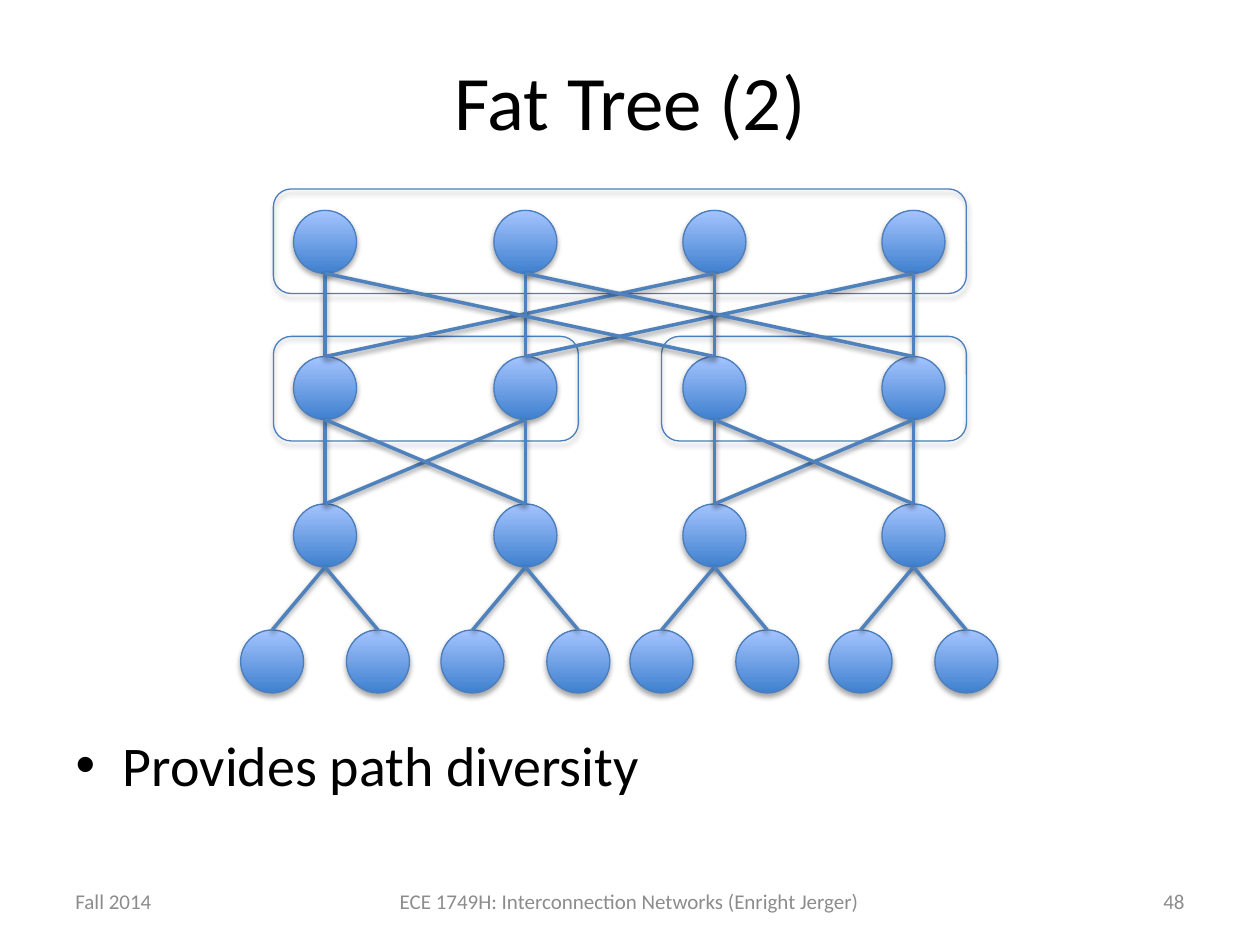
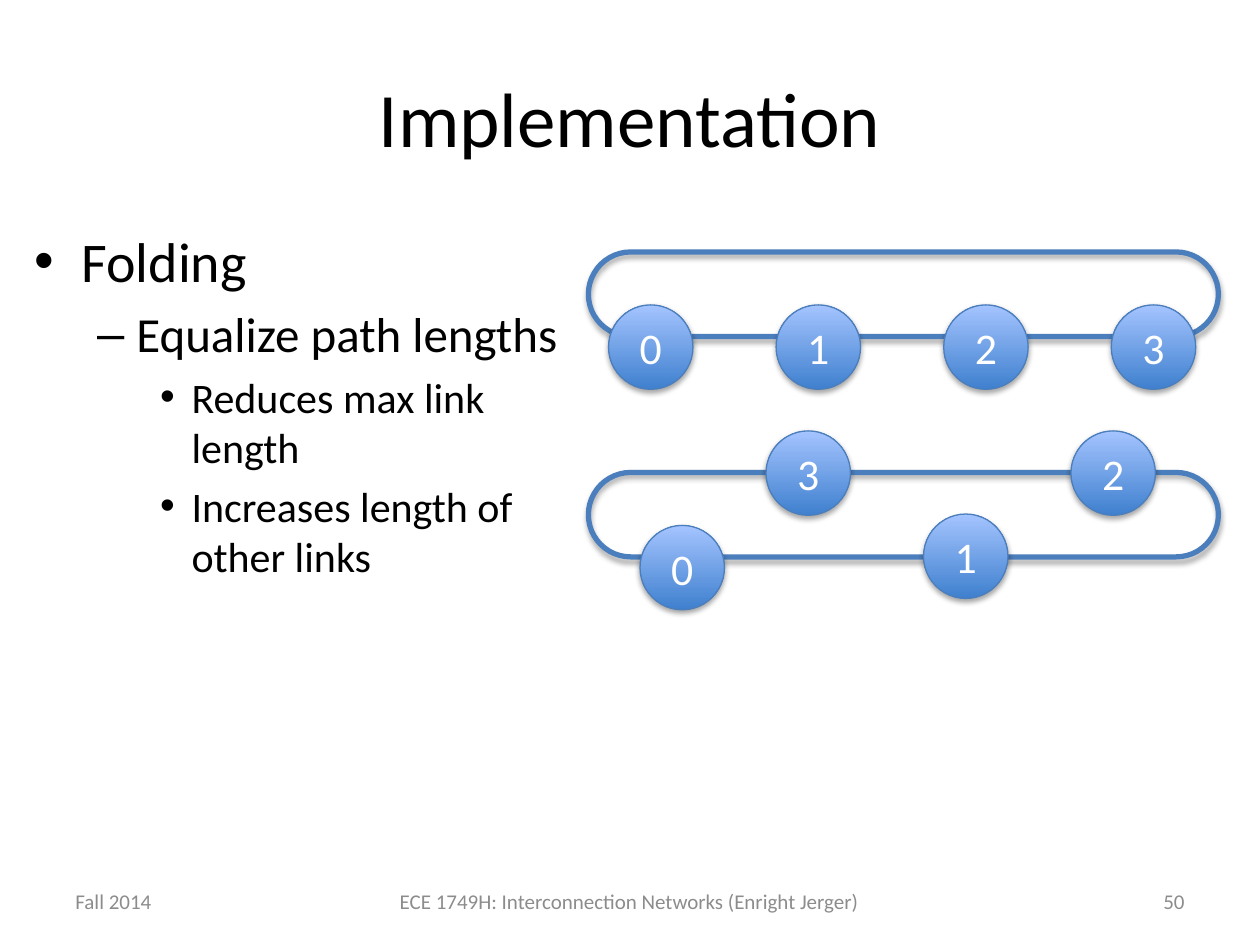
from dataclasses import dataclass
from lxml import etree
from pptx import Presentation
from pptx.dml.color import RGBColor
from pptx.enum.shapes import MSO_CONNECTOR, MSO_SHAPE
from pptx.enum.text import MSO_ANCHOR, PP_ALIGN
from pptx.oxml.ns import qn
from pptx.util import Inches, Pt

OVAL = MSO_SHAPE.OVAL
ROUND = MSO_SHAPE.ROUNDED_RECTANGLE
STRAIGHT = MSO_CONNECTOR.STRAIGHT
MIDDLE = MSO_ANCHOR.MIDDLE
LEFT, CENTER, RIGHT = PP_ALIGN.LEFT, PP_ALIGN.CENTER, PP_ALIGN.RIGHT


@dataclass(frozen=True)
class Theme:
    font: str = "Calibri"
    ink: str = "000000"
    white: str = "FFFFFF"
    gray: str = "8C8C8C"
    edge: str = "4B7EBC"
    link: str = "4F81BD"
    dark: str = "3F80CE"
    light: str = "A4C4FF"
    title: int = 44
    levels: tuple = (32, 28, 24)
    digit: int = 25
    foot: int = 12
    thin: float = 0.75
    mid: int = 2
    thick: int = 3


def assign(target, values):
    for name, value in values.items():
        setattr(target, name, value)


class Deck:
    def __init__(self, theme):
        self.theme = theme
        self.show = Presentation()
        assign(self.show, {"slide_width": Inches(10), "slide_height": Inches(7.5)})
        self.slide = None

    def start(self, title, top, number):
        self.slide = self.show.slides.add_slide(self.show.slide_layouts[1])
        head = self.slide.shapes.title
        self.place(head, 0.5, top, 9, 1.25)
        head.text_frame.vertical_anchor = MIDDLE
        self.label(head.text_frame.paragraphs[0], title, self.theme.title, self.theme.ink, CENTER)
        self.footer("ECE 1749H: Interconnection Networks (Enright Jerger)", 2.83, 4.33, CENTER)
        self.footer("Fall 2014", 0.5, 2.33, LEFT)
        self.footer(str(number), 7.17, 2.33, RIGHT)

    def place(self, shape, *box):
        names = ("left", "top", "width", "height")
        assign(shape, dict(zip(names, map(Inches, box))))

    def label(self, para, text, size, color, align=None):
        para.alignment = align
        run = para.add_run()
        run.text = text
        assign(run.font, {"name": self.theme.font, "size": Pt(size)})
        run.font.color.rgb = RGBColor.from_string(color)

    def footer(self, text, left, width, align):
        box = self.slide.shapes.add_textbox(*map(Inches, (left, 6.95, width, 0.4)))
        assign(box.text_frame, {"word_wrap": True, "vertical_anchor": MIDDLE})
        self.label(box.text_frame.paragraphs[0], text, self.theme.foot, self.theme.gray, align)

    def bullets(self, items, *box):
        body = self.slide.placeholders[1]
        self.place(body, *box)
        frame = body.text_frame
        for index, (level, text) in enumerate(items):
            para = frame.add_paragraph() if index else frame.paragraphs[0]
            para.level = level
            self.label(para, text, self.theme.levels[level], self.theme.ink)

    def stroke(self, shape, color, width, alpha, gap):
        shape.line.color.rgb = RGBColor.from_string(color)
        shape.line.width = Pt(width)
        effect = etree.SubElement(shape._element.spPr, qn("a:effectLst"))
        shadow = etree.SubElement(
            effect, qn("a:outerShdw"), blurRad=str(Pt(3.1)), dist=str(Pt(gap)),
            dir="5400000", rotWithShape="0")
        black = etree.SubElement(shadow, qn("a:srgbClr"), val=self.theme.ink)
        etree.SubElement(black, qn("a:alpha"), val=str(alpha * 1000))

    def node(self, left, top, size, text=""):
        shape = self.slide.shapes.add_shape(OVAL, *map(Inches, (left, top, size, size)))
        shape.fill.gradient()
        shape.fill.gradient_angle = 90
        for stop, color in zip(shape.fill.gradient_stops, (self.theme.dark, self.theme.light)):
            stop.color.rgb = RGBColor.from_string(color)
        self.stroke(shape, self.theme.edge, self.theme.thin, 35, 1.8)
        if text:
            shape.text_frame.vertical_anchor = MIDDLE
            self.label(shape.text_frame.paragraphs[0], text, self.theme.digit, self.theme.white, CENTER)

    def frame(self, left, top, width, height, line, bend=0.17):
        shape = self.slide.shapes.add_shape(ROUND, *map(Inches, (left, top, width, height)))
        shape.adjustments[0] = bend
        shape.fill.background()
        self.stroke(shape, self.theme.edge, line, 35, 1.8)

    def link(self, *ends):
        line = self.slide.shapes.add_connector(STRAIGHT, *map(Inches, ends))
        self.stroke(line, self.theme.link, self.theme.mid, 38, 1.6)


def tree(deck):
    deck.start("Fat Tree (2)", 0.17, 48)
    size, half, spread = 0.5, 0.25, 0.42
    columns = (2.58, 4.17, 5.67, 7.25)
    core, middle, edge, leaf = 1.67, 2.83, 4, 5
    for top in (edge, middle, core):
        for x in columns:
            deck.node(x - half, top, size)
    for x in columns:
        for end in (x - spread, x + spread):
            deck.node(end - half, leaf, size)
            deck.link(end, leaf, x, edge + size)
    for left, top, width in ((2.17, 1.5, 5.5), (2.17, 2.67, 2.42), (5.25, 2.67, 2.42)):
        deck.frame(left, top, width, 0.83, deck.theme.thin)
    for low, high, step in ((edge, middle, 1), (middle, core, 2)):
        for index, x in enumerate(columns):
            for peer in (index, index ^ step):
                deck.link(x, low, columns[peer], high + size)
    deck.bullets([(0, "Provides path diversity")], 0.5, 5.75, 9, 0.95)


def rings(deck):
    deck.start("Implementation", 0.3, 50)
    deck.bullets([
        (0, "Folding"),
        (1, "Equalize path lengths"),
        (2, "Reduces max link length"),
        (2, "Increases length of other links"),
    ], 0.17, 1.75, 4.5, 5.33)
    size = 0.67
    plain = [(4.83 + 1.33 * index, 2.42) for index in range(4)]
    folded = [(5.08, 4.17), (7.33, 4.08), (8.5, 3.42), (6.08, 3.42)]
    for top, spots in ((2, plain), (3.75, folded)):
        deck.frame(4.67, top, 5, size, deck.theme.thick, 0.5)
        for index, (left, y) in enumerate(spots):
            deck.node(left, y, size, str(index))


def main():
    deck = Deck(Theme())
    tree(deck)
    rings(deck)
    deck.show.save("out.pptx")


if __name__ == "__main__":
    main()
